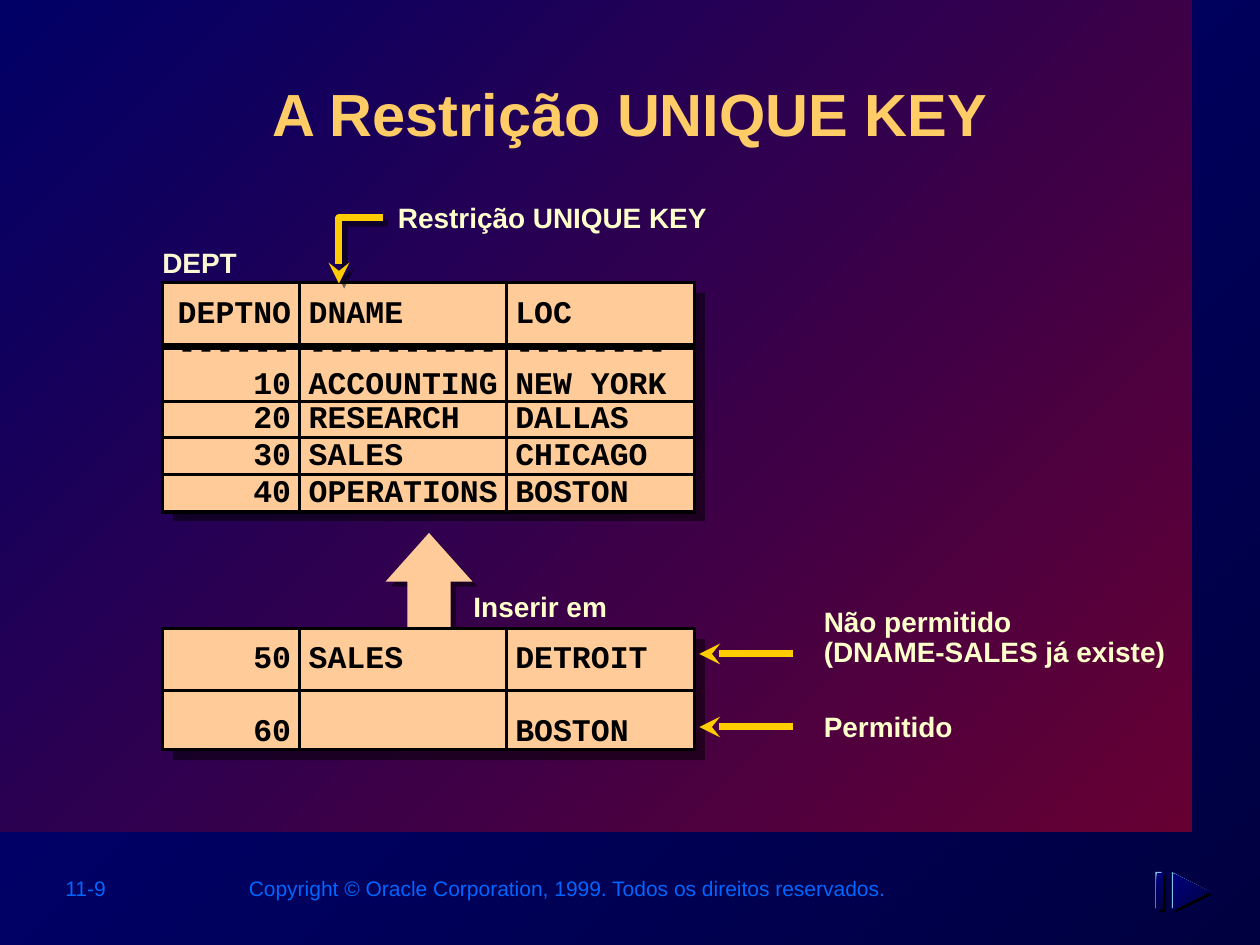
from pptx import Presentation, util as u
from pptx.dml.color import RGBColor
from pptx.enum import shapes, text
from pptx.oxml import parse_xml
from pptx.oxml.ns import nsdecls

PEACH, GOLD, CREAM, BLUE = "FFCC99", "FFCC00", "FFFFCC", "0066FF"
NIGHT, WINE = ("000080", "000040"), ("000066", "660033")
LEFT, MID, RIGHT = text.PP_ALIGN.LEFT, text.PP_ALIGN.CENTER, text.PP_ALIGN.RIGHT
HALF, LOW = text.MSO_ANCHOR.MIDDLE, text.MSO_ANCHOR.BOTTOM
KIND = shapes.MSO_SHAPE

NOTES = [
    ((0.42, 6.9, 1.2, 0.3), "11-9", 12, BLUE, False, LEFT, 1),
    ((1.84, 6.9, 5.29, 0.3),
     "Copyright © Oracle Corporation, 1999. Todos os direitos reservados.",
     12, BLUE, False, RIGHT, 1),
    ((1.19, 1.9, 0.86, 0.36), "DEPT", 16, "F8F8D3", True, LEFT, 1),
    ((3.06, 1.57, 3.21, 0.34), "Restrição UNIQUE KEY", 16, CREAM, True, LEFT, 0.9),
    ((3.66, 4.66, 2.84, 0.34), "Inserir em", 16, CREAM, True, LEFT, 0.9),
    ((6.44, 4.78, 2.97, 0.58), "Não permitido\n(DNAME-SALES já existe)",
     16, CREAM, True, LEFT, 0.9),
    ((6.44, 5.61, 2.97, 0.34), "Permitido", 16, CREAM, True, LEFT, 0.9),
]
COLS = [1.09, 1.64, 1.49]
DEPT = [
    (0.51, HALF, ["DEPTNO", "DNAME", "LOC"]),
    (0.43, LOW, ["------\n10", "----------\nACCOUNTING", "--------\nNEW YORK"]),
    (0.28, HALF, ["20", "RESEARCH", "DALLAS"]),
    (0.29, HALF, ["30", "SALES", "CHICAGO"]),
    (0.3, HALF, ["40", "OPERATIONS", "BOSTON"]),
]
ADDED = [
    (0.49, HALF, ["50", "SALES", "DETROIT"]),
    (0.47, LOW, ["60", "", "BOSTON"]),
]

deck = Presentation()
deck.slide_width, deck.slide_height = u.Inches(10), u.Inches(7.5)
slide = deck.slides.add_slide(deck.slide_layouts[6])


def color(code):
    return RGBColor.from_string(code)


def paint(fill, tint):
    if isinstance(tint, str):
        fill.solid()
        fill.fore_color.rgb = color(tint)
        return
    fill.gradient()
    fill.gradient_angle = 315
    for stop, code, at in zip(fill.gradient_stops, tint, (0, 1)):
        stop.color.rgb, stop.position = color(code), at


def effect(shift):
    cast = (f'<a:outerShdw dist="{u.Pt(shift)}" dir="2700000" algn="ctr" rotWithShape="0">'
            '<a:srgbClr val="000000"><a:alpha val="50000"/></a:srgbClr></a:outerShdw>')
    return parse_xml(f'<a:effectLst {nsdecls("a")}>{cast if shift else ""}</a:effectLst>')


def stroke(line, tint, width, end=None):
    line.color.rgb, line.width = color(tint), u.Pt(width)
    if end:
        line._get_or_add_ln().append(parse_xml(f'<a:{end} {nsdecls("a")} type="stealth"/>'))


def finish(item, tint, shift=0):
    if tint:
        paint(item.fill, tint)
    else:
        item.fill.background()
    item.line.fill.background()
    item.shadow.inherit = False
    if shift:
        flat = item._element.spPr.find("{*}effectLst")
        flat.getparent().replace(flat, effect(shift))
    return item


def block(kind, box, tint, shift=0):
    return finish(slide.shapes.add_shape(kind, *map(u.Inches, box)), tint, shift)


def poly(spots, tint, shift=0, close=True):
    first, *rest = [(u.Inches(x), u.Inches(y)) for x, y in spots]
    pen = slide.shapes.build_freeform(*first)
    pen.add_line_segments(rest, close=close)
    return finish(pen.convert_to_shape(), tint, shift)


def style(run, size, tint, bold, face="Arial"):
    font = run.font
    font.name, font.size, font.bold = face, u.Pt(size), bold
    font.color.rgb = color(tint)


def label(box, words, size, tint, bold, align, space):
    frame = slide.shapes.add_textbox(*map(u.Inches, box)).text_frame
    frame.word_wrap = True
    para = frame.paragraphs[0]
    para.alignment, para.line_spacing = align, space
    for i, part in enumerate(words.split("\n")):
        if i:
            para.add_line_break()
        run = para.add_run()
        run.text = part
        style(run, size, tint, bold)
    return run


def border(cell, side, width):
    cell._tc.get_or_add_tcPr().append(parse_xml(
        f'<a:{side} {nsdecls("a")} w="{u.Pt(width)}"><a:solidFill>'
        f'<a:srgbClr val="000000"/></a:solidFill></a:{side}>'))


def grid(top, rows, thick=None):
    box = (1.29, top, sum(COLS), sum(row[0] for row in rows))
    block(KIND.RECTANGLE, box, PEACH, 8.5)
    table = slide.shapes.add_table(len(rows), len(COLS), *map(u.Inches, box)).table
    table.first_row = table.horz_banding = False
    for col, width in zip(table.columns, COLS):
        col.width = u.Inches(width)
    for r, (high, anchor, words) in enumerate(rows):
        table.rows[r].height = u.Inches(high)
        for c, word in enumerate(words):
            cell = table.cell(r, c)
            cell.margin_left = cell.margin_right = u.Inches(0.07)
            cell.margin_top = cell.margin_bottom = 0
            cell.vertical_anchor = anchor
            for side, edge in (("lnL", None), ("lnR", None), ("lnT", r), ("lnB", r + 1)):
                border(cell, side, 4 if edge and edge == thick else 2)
            paint(cell.fill, PEACH)
            parts = word.split("\n")
            for i, part in enumerate(parts):
                frame = cell.text_frame
                para = frame.add_paragraph() if i else frame.paragraphs[0]
                para.alignment = LEFT if c else RIGHT
                para.line_spacing = u.Pt(11) if i < len(parts) - 1 else 0.95
                run = para.add_run()
                run.text = part
                style(run, 18, "000000", True, "Courier New")


def main():
    """Build the slide on the unique key constraint."""
    paint(slide.background.fill, NIGHT)
    block(KIND.RECTANGLE, (0, 0, 9.46, 6.6), WINE)
    title = label((1.01, 0.56, 7.98, 0.96), "A Restrição UNIQUE KEY",
                  34, "FFCC66", True, MID, 1)
    title.font._element.find("{*}solidFill").addnext(effect(4))
    grid(2.24, DEPT, 1)
    arrow = block(KIND.UP_ARROW, (3.06, 4.23, 0.69, 0.77), PEACH, 4.2)
    arrow.adjustments[0], arrow.adjustments[1] = 0.5, 0.56
    grid(4.99, ADDED)
    for note in NOTES:
        label(*note)
    bend = poly([(3.04, 1.73), (2.69, 1.73), (2.69, 2.25)], None, 4.2, False)
    stroke(bend.line, GOLD, 4, "tailEnd")
    for y in (5.19, 5.77):
        link = slide.shapes.add_connector(
            shapes.MSO_CONNECTOR.STRAIGHT, *map(u.Inches, (5.55, y, 6.29, y)))
        stroke(link.line, GOLD, 4, "headEnd")
        link._element.spPr.append(effect(0))
    for step, tint in ((0.03, "000000"), (0, "7FC1EB"), (0.01, NIGHT)):
        x, y = 9.17 + step, 6.92 + step
        block(KIND.RECTANGLE, (x, y, 0.05, 0.29), tint)
        poly([(x + 0.42, y + 0.15), (x + 0.13, y), (x + 0.13, y + 0.29)], tint)
    deck.save("out.pptx")


if __name__ == "__main__":
    main()
